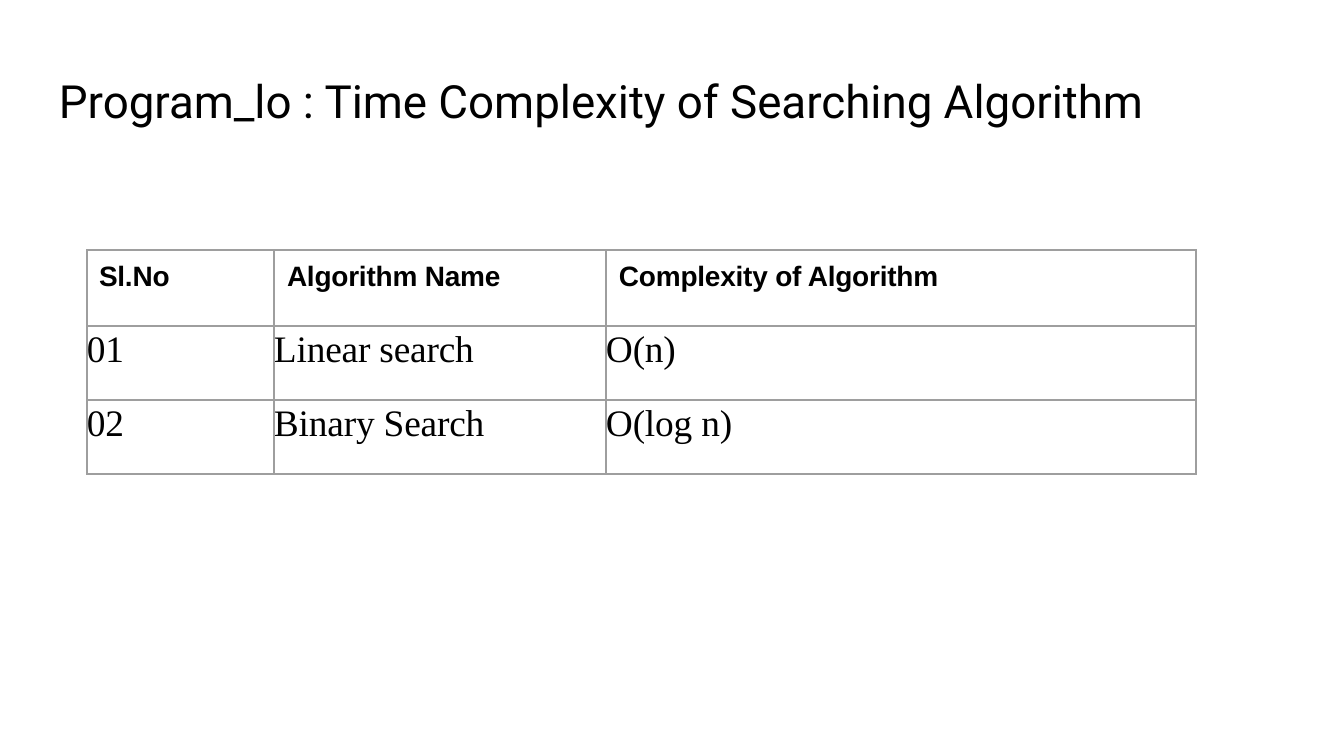
from dataclasses import dataclass

from lxml.etree import SubElement
from pptx import Presentation
from pptx.dml.color import RGBColor
from pptx.oxml.ns import qn
from pptx.util import Pt

EMU_PER_PX = 914400 / 134.4


@dataclass(frozen=True)
class Theme:
    ink: str = "000000"
    rule: str = "9E9E9E"
    title_font: str = "Roboto"
    header_font: str = "Arial"
    body_font: str = "Times New Roman"
    title_size: float = 24.5
    header_size: float = 15
    body_size: float = 20
    body_leading: float = 23.9
    rule_width: float = 0.75


THEME = Theme()
TITLE = "Program_lo : Time Complexity of Searching Algorithm"
HEADERS = ["Sl.No", "Algorithm Name", "Complexity of Algorithm"]
SEARCHES = [["01", "Linear search", "O(n)"], ["02", "Binary Search", "O(log n)"]]
COLUMN_WIDTHS = [187, 332, 590]
ROW_HEIGHTS = [76, 74, 74]


def px(length):
    return round(length * EMU_PER_PX)


def write(frame, text, *, font, size, bold=False, indent=0, before=0,
          leading=None, tracking=0):
    paragraph = frame.paragraphs[0]
    paragraph.space_before = Pt(before)
    if leading:
        paragraph.line_spacing = Pt(leading)
    paragraph._p.get_or_add_pPr().set("marL", str(px(indent)))
    paragraph._p.get_or_add_pPr().set("indent", "0")
    run = paragraph.add_run()
    run.text = text
    run.font.name = font
    run.font.size = Pt(size)
    run.font.bold = bold
    run.font.color.rgb = RGBColor.from_string(THEME.ink)
    run._r.get_or_add_rPr().set("spc", str(round(tracking * 100)))


def set_margins(box, top=0):
    box.margin_left = box.margin_right = box.margin_bottom = 0
    box.margin_top = px(top)


def add_title(slide):
    frame = slide.shapes.add_textbox(px(23), px(70), px(1195), px(89)).text_frame
    frame.word_wrap = True
    set_margins(frame, top=3)
    write(frame, TITLE, font=THEME.title_font, size=THEME.title_size,
          indent=36, before=1.3)


def add_borders(cell):
    properties = cell._tc.get_or_add_tcPr()
    for position, side in enumerate(("lnL", "lnR", "lnT", "lnB")):
        border = SubElement(properties, qn(f"a:{side}"), w=str(Pt(THEME.rule_width)))
        fill = SubElement(border, qn("a:solidFill"))
        SubElement(fill, qn("a:srgbClr"), val=THEME.rule)
        properties.insert(position, border)


def fill_cell(cell, text, is_header, indent):
    set_margins(cell, top=11 if is_header else 0)
    cell.fill.background()
    add_borders(cell)
    if is_header:
        write(cell.text_frame, text, font=THEME.header_font, size=THEME.header_size,
              bold=True, indent=indent, before=5.7, tracking=-0.1)
    else:
        write(cell.text_frame, text, font=THEME.body_font, size=THEME.body_size,
              leading=THEME.body_leading, tracking=-0.1)


def add_complexity_table(slide):
    rows = [HEADERS, *SEARCHES]
    table = slide.shapes.add_table(
        len(rows), len(HEADERS), px(87), px(250),
        px(sum(COLUMN_WIDTHS)), px(sum(ROW_HEIGHTS))).table
    table.first_row = table.horz_banding = False
    for column, width in zip(table.columns, COLUMN_WIDTHS):
        column.width = px(width)
    for row_index, (row, height) in enumerate(zip(rows, ROW_HEIGHTS)):
        table.rows[row_index].height = px(height)
        for column_index, text in enumerate(row):
            fill_cell(table.cell(row_index, column_index), text,
                      is_header=row_index == 0, indent=13 if column_index else 12)


def main():
    deck = Presentation()
    deck.slide_width, deck.slide_height = px(1344), px(756)
    slide = deck.slides.add_slide(deck.slide_layouts[6])
    add_title(slide)
    add_complexity_table(slide)
    deck.save("out.pptx")


if __name__ == "__main__":
    main()
